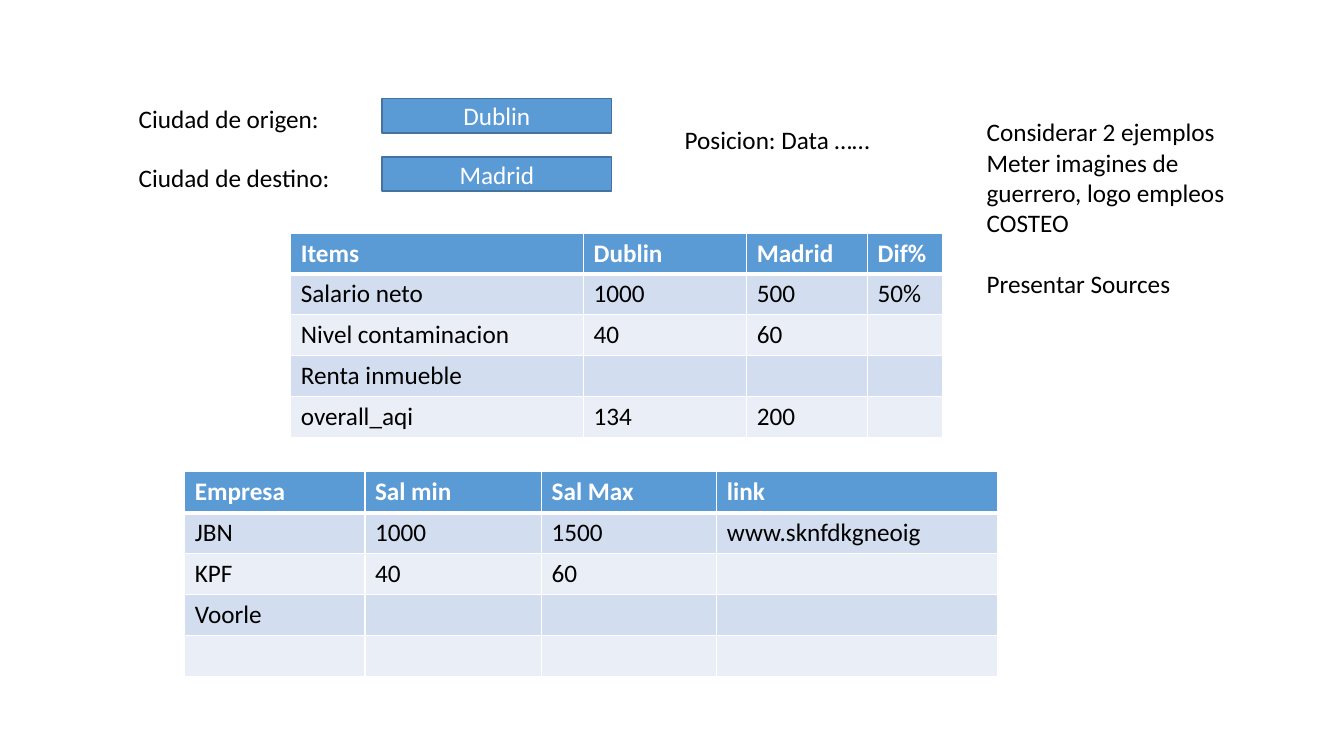
import pptx
import pptx.dml.color
import pptx.enum.shapes
import pptx.enum.text
import pptx.oxml
import pptx.oxml.ns
import pptx.util

Pt = pptx.util.Pt
COLORS = {
    "header": "5B9BD5",
    "outline": "43739E",
    "band_dark": "D2DEEF",
    "band_light": "EAEFF7",
    "white": "FFFFFF",
    "black": "000000",
}


def rgb(name):
    return pptx.dml.color.RGBColor.from_string(COLORS[name])


class SlideBuilder:
    font_name = "Calibri"
    font_size = 18
    row_height = 29.2

    def __init__(self, slide):
        self.slide = slide

    def style(self, p, color, bold=False):
        p.font.name = self.font_name
        p.font.size = Pt(self.font_size)
        p.font.bold = bold
        p.font.color.rgb = rgb(color)

    def text(self, x, y, w, h, *lines):
        """Add a text box with one paragraph per line and return its paragraphs."""
        tf = self.slide.shapes.add_textbox(Pt(x), Pt(y), Pt(w), Pt(h)).text_frame
        tf.word_wrap = True
        tf.auto_size = pptx.enum.text.MSO_AUTO_SIZE.SHAPE_TO_FIT_TEXT
        tf.text = "\n".join(lines)
        for p in tf.paragraphs:
            self.style(p, "black")
        return tf.paragraphs

    def box(self, x, y, w, h, label):
        s = self.slide.shapes.add_shape(
            pptx.enum.shapes.MSO_SHAPE.RECTANGLE, Pt(x), Pt(y), Pt(w), Pt(h))
        s.shadow.inherit = False
        s.fill.solid()
        s.fill.fore_color.rgb = rgb("header")
        s.line.color.rgb = rgb("outline")
        s.line.width = Pt(1)
        tf = s.text_frame
        tf.vertical_anchor = pptx.enum.text.MSO_ANCHOR.MIDDLE
        tf.text = label
        p = tf.paragraphs[0]
        p.alignment = pptx.enum.text.PP_ALIGN.CENTER
        self.style(p, "white")

    def border(self, cell, side, width):
        """Draw one white cell edge; side is L, R, T or B."""
        cell._tc.get_or_add_tcPr().append(pptx.oxml.parse_xml(
            f'<a:ln{side} {pptx.oxml.ns.nsdecls("a")} w="{Pt(width)}"><a:solidFill>'
            f'<a:srgbClr val="{COLORS["white"]}"/></a:solidFill></a:ln{side}>'))

    def table(self, x, y, widths, rows):
        s = self.slide.shapes.add_table(
            len(rows), len(widths), Pt(x), Pt(y),
            Pt(sum(widths)), Pt(self.row_height * len(rows)))
        table = s.table
        for column, width in zip(table.columns, widths):
            column.width = Pt(width)
        for i, row in enumerate(rows):
            table.rows[i].height = Pt(self.row_height)
            header = i == 0
            fill = "header" if header else ("band_light", "band_dark")[i % 2]
            for j, value in enumerate(row):
                cell = table.cell(i, j)
                cell.text = value
                self.style(cell.text_frame.paragraphs[0],
                           "white" if header else "black", header)
                for side in "LRTB":
                    under_header = (i, side) in ((0, "B"), (1, "T"))
                    self.border(cell, side, 3 if under_header else 1)
                cell.fill.solid()
                cell.fill.fore_color.rgb = rgb(fill)


def main():
    prs = pptx.Presentation()
    prs.slide_width, prs.slide_height = Pt(960), Pt(540)
    b = SlideBuilder(prs.slides.add_slide(prs.slide_layouts[6]))

    cities = [("Ciudad de origen:", "Dublin"), ("Ciudad de destino:", "Madrid")]
    for i, (label, city) in enumerate(cities):
        y = 70.5 + 41.6 * i
        b.box(272.9, y, 164, 24.5, city)
        b.text(92, y, 230.4, 29.1, label)

    b.table(207.7, 166.4, [209.2, 116.5, 86.4, 53.8], [
        ["Items", "Dublin", "Madrid", "Dif%"],
        ["Salario neto", "1000", "500", "50%"],
        ["Nivel contaminacion", "40", "60", ""],
        ["Renta inmueble", "", "", ""],
        ["overall_aqi", "134", "200", ""],
    ])
    b.table(132, 337, [128.7, 126.2, 125.2, 200.8], [
        ["Empresa", "Sal min", "Sal Max", "link"],
        ["JBN", "1000", "1500", "www.sknfdkgneoig"],
        ["KPF", "40", "60", ""],
        ["Voorle", "", "", ""],
        ["", "", "", ""],
    ])

    b.text(482, 85.5, 230.4, 29.1, "Posicion: Data ……")
    notes = b.text(697.7, 79.8, 187.2, 138,
                   "Considerar 2 ejemplos",
                   "Meter imagines de guerrero, logo empleos",
                   "COSTEO",
                   "Presentar Sources")
    notes[-1].space_before = Pt(22)

    prs.save("out.pptx")


if __name__ == "__main__":
    main()
